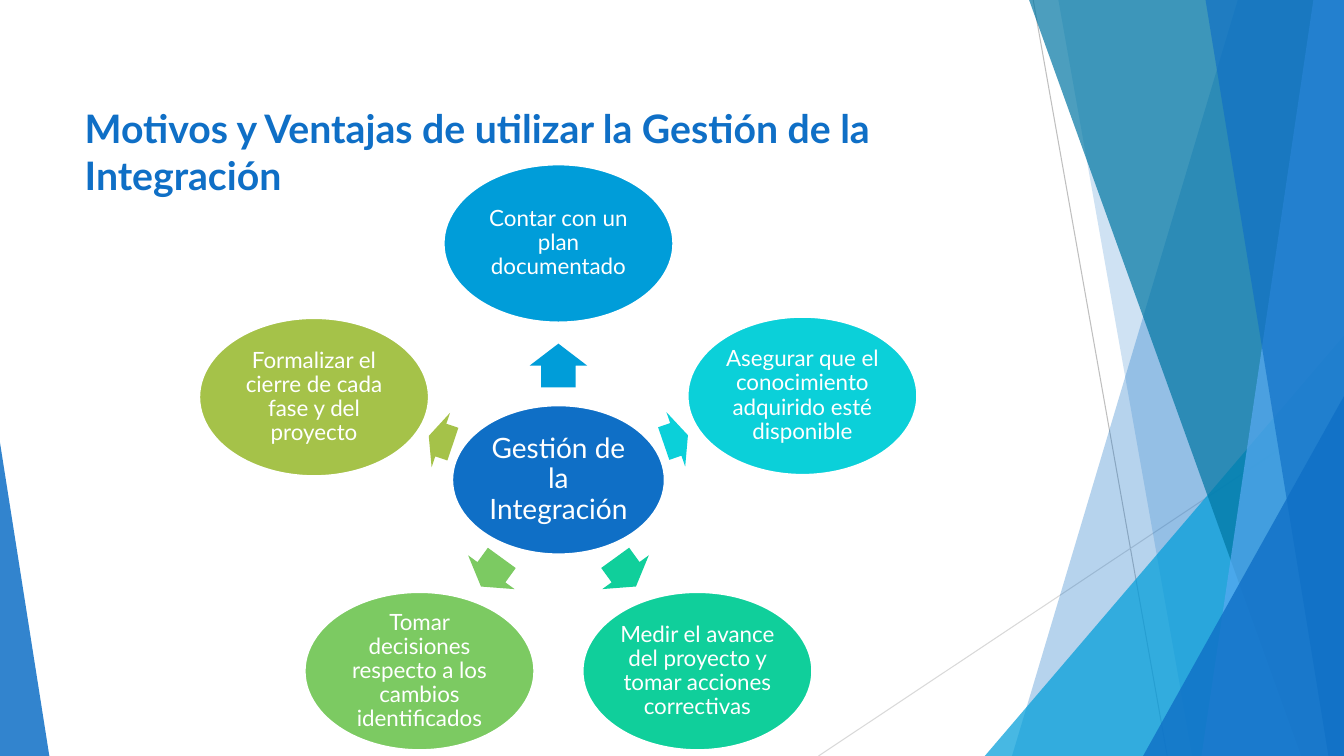
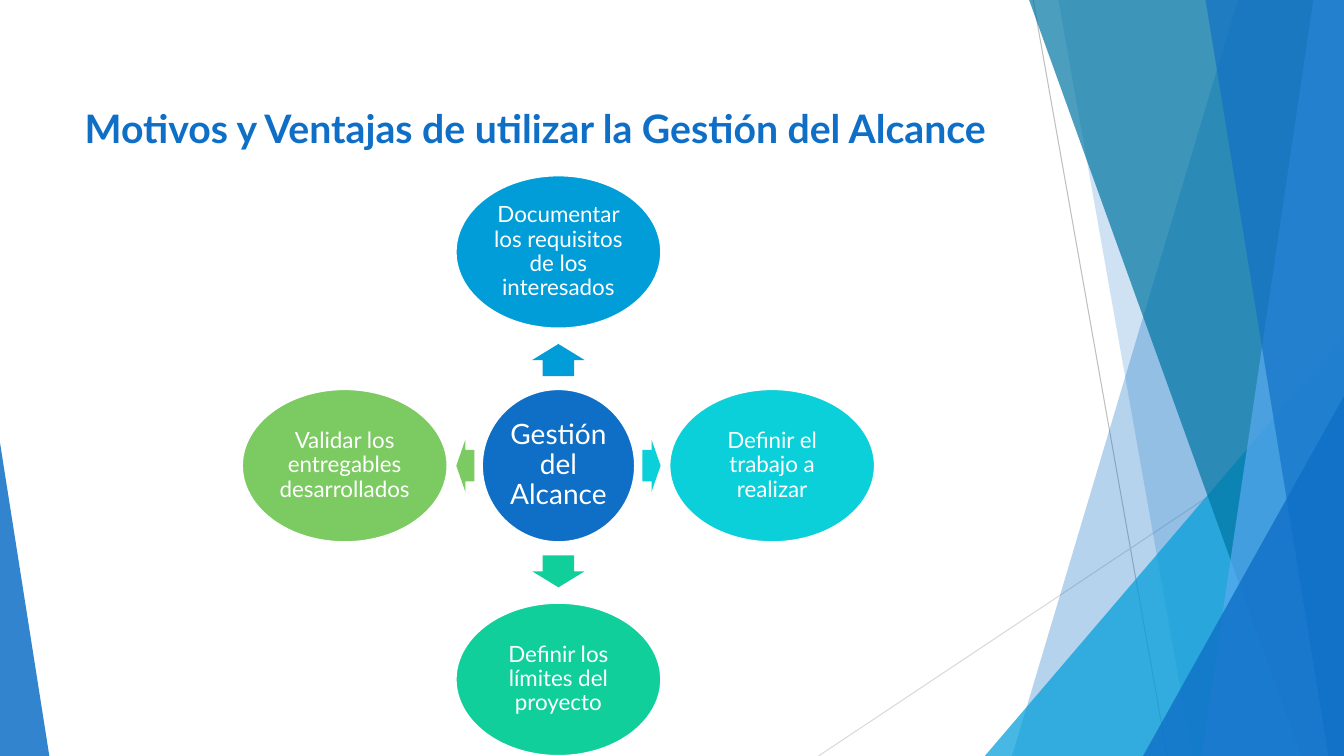
from math import cos, hypot, radians, sin

from pptx import Presentation
from pptx import util as u
from pptx.dml.color import RGBColor
from pptx.enum import shapes, text
from pptx.oxml.ns import qn
from lxml import etree

# Lengths are percent of the slide height, in both directions
UNIT = u.Inches(7.5) / 100
W, H = 177.78, 100
CENTRE_X = 73.87
FONT = "Lato"
BLUE, SKY, TEAL, LIGHT = "0F6FC6", "009DD9", "0076A3", "59AAF2"
CYAN, MINT, GREEN, OLIVE = "0BD0D9", "10CF9B", "7CCA62", "A5C249"
WHITE = "FFFFFF"
SHAPE = shapes.MSO_SHAPE


def rgb(value):
    return RGBColor.from_string(value)


def grid(*lengths):
    return [u.Emu(round(n * UNIT)) for n in lengths]


def paint(sp, color, alpha=100, line=None):
    sp.shadow.inherit = False
    sp.fill.solid()
    sp.fill.fore_color.rgb = rgb(color)
    if alpha < 100:
        clr = sp.fill._xPr.find(qn("a:solidFill"))[0]
        etree.SubElement(clr, qn("a:alpha"), val=str(alpha * 1000))
    if line:
        sp.line.color.rgb = rgb(line)
        sp.line.width = u.Pt(1.5)
    else:
        sp.line.fill.background()
    return sp


def write(tf, content, size, color, bold=False, align=None, spacing=None,
          anchor=text.MSO_ANCHOR.TOP, inset=None):
    tf.word_wrap = True
    tf.auto_size = text.MSO_AUTO_SIZE.NONE
    tf.vertical_anchor = anchor
    if inset is not None:
        tf.margin_left = tf.margin_right = u.Inches(inset)
        tf.margin_top = tf.margin_bottom = u.Inches(inset)
    p = tf.paragraphs[0]
    p.alignment, p.line_spacing = align, spacing
    r = p.add_run()
    r.text = content
    r.font.name, r.font.size, r.font.bold = FONT, u.Pt(size), bold
    r.font.color.rgb = rgb(color)


def add_thin_line(s, start, end, color):
    cn = s.shapes.add_connector(shapes.MSO_CONNECTOR.STRAIGHT,
                                *grid(*start, *end))
    cn.line.color.rgb = rgb(color)
    cn.line.width = u.Pt(0.75)
    etree.SubElement(cn.element.spPr, qn("a:effectLst"))
    return cn


def add_band(s, top_x, bottom_x, color, alpha):
    """Full-height facet from a slanted left side to the right slide edge."""
    fb = s.shapes.build_freeform(*grid(top_x, 0))
    fb.add_line_segments([grid(W, 0), grid(W, H), grid(bottom_x, H)])
    return paint(fb.convert_to_shape(), color, alpha)


def add_corner(s, left, top, width, apex, color, alpha):
    """Triangle standing on the bottom edge; apex is 0 (left) or 1 (right)."""
    sp = s.shapes.add_shape(SHAPE.ISOSCELES_TRIANGLE,
                            *grid(left, top, width, H - top))
    sp.adjustments[0] = apex
    return paint(sp, color, alpha)


def decorate_layout(layout, s):
    """Draw the facets on s, then move them to the layout all slides share."""
    facets = [
        add_thin_line(s, (136.67, 0), (154.4, H), "BFBFBF"),
        add_thin_line(s, (W, 53.73), (108.27, H), "D9D9D9"),
        add_band(s, 163.73, 133.87, BLUE, 30),
        add_band(s, 140, 157.73, BLUE, 20),
        add_corner(s, 130.27, 44.4, W - 130.27, 1, SKY, 72),
        add_band(s, 136.13, 172.13, TEAL, 70),
        add_band(s, 173.73, 158.93, LIGHT, 70),
        add_band(s, 159.47, 175.73, BLUE, 65),
        add_corner(s, 151.2, 52.4, W - 151.2, 1, BLUE, 80),
        add_corner(s, 0, 58.53, 6.53, 0, BLUE, 85),
    ]
    for sp in facets:
        layout.shapes.element.append(sp.element)


def add_title(s, content):
    title = s.shapes.title
    title.left, title.top, title.width, title.height = grid(9.87, 13.07, 128, 10)
    write(title.text_frame, content, 28, BLUE, bold=True,
          align=text.PP_ALIGN.LEFT)


def add_centred(s, kind, x, y, size, color, line=None):
    w, h = size
    sp = s.shapes.add_shape(kind, *grid(x - w / 2, y - h / 2, w, h))
    return paint(sp, color, line=line)


def add_node(s, x, y, size, color, content, font_size, inset):
    sp = add_centred(s, SHAPE.OVAL, x, y, size, color, WHITE)
    write(sp.text_frame, content, font_size, WHITE, inset=inset, spacing=0.9,
          align=text.PP_ALIGN.CENTER, anchor=text.MSO_ANCHOR.MIDDLE)


def reach(size, angle):
    """Distance from an ellipse's centre to its edge at this angle."""
    w, h = size
    return 0.5 / hypot(cos(angle) / w, sin(angle) / h)


def add_radial(s, hub_text, centre_y, hub, node, arrow_width, nodes):
    """Hub with an arrow to each (angle, radius, colour, text) node."""
    add_node(s, CENTRE_X, centre_y, hub, BLUE, hub_text, 20, 0.03)
    for degrees, radius, color, content in nodes:
        angle = radians(degrees)
        hub_edge = reach(hub, angle)
        gap = radius - hub_edge - reach(node, angle)

        def at(distance):
            return (CENTRE_X + distance * cos(angle),
                    centre_y + distance * sin(angle))

        arrow = add_centred(s, SHAPE.RIGHT_ARROW, *at(hub_edge + 0.48 * gap),
                            (0.53 * gap, arrow_width), color)
        arrow.adjustments[0], arrow.adjustments[1] = 0.6, 0.5
        arrow.rotation = degrees
        add_node(s, *at(radius), node, color, content, 16, 0.02)


def main():
    prs = Presentation()
    prs.slide_width, prs.slide_height = grid(W, H)
    layout = prs.slide_layouts[5]

    s = prs.slides.add_slide(layout)
    decorate_layout(layout, s)
    add_title(s, "Motivos y Ventajas de utilizar la Gestión de la Integración")
    near, far = 31.27, 34.13
    add_radial(s, "Gestión de la Integración", 63.47, (28.13, 19.73),
               (30.4, 20.93), 7.6, [
        (270, near, SKY, "Contar con un plan documentado"),
        (341, far, CYAN,
         "Asegurar que el conocimiento adquirido esté disponible"),
        (54, near, MINT,
         "Medir el avance del proyecto y tomar acciones correctivas"),
        (126, near, GREEN,
         "Tomar decisiones respecto a los cambios identificados"),
        (198.7, far, OLIVE, "Formalizar el cierre de cada fase y del proyecto"),
    ])

    s = prs.slides.add_slide(layout)
    add_title(s, "Motivos y Ventajas de utilizar la Gestión del Alcance")
    radius = 28.27
    add_radial(s, "Gestión del Alcance", 61.6, (20.27, 20.27),
               (27.2, 20.27), 6.93, [
        (270, radius, SKY, "Documentar los requisitos de los interesados"),
        (0, radius, CYAN, "Definir el trabajo a realizar"),
        (90, radius, MINT, "Definir los límites del proyecto"),
        (180, radius, GREEN, "Validar los entregables desarrollados"),
    ])
    prs.save("out.pptx")


if __name__ == "__main__":
    main()
